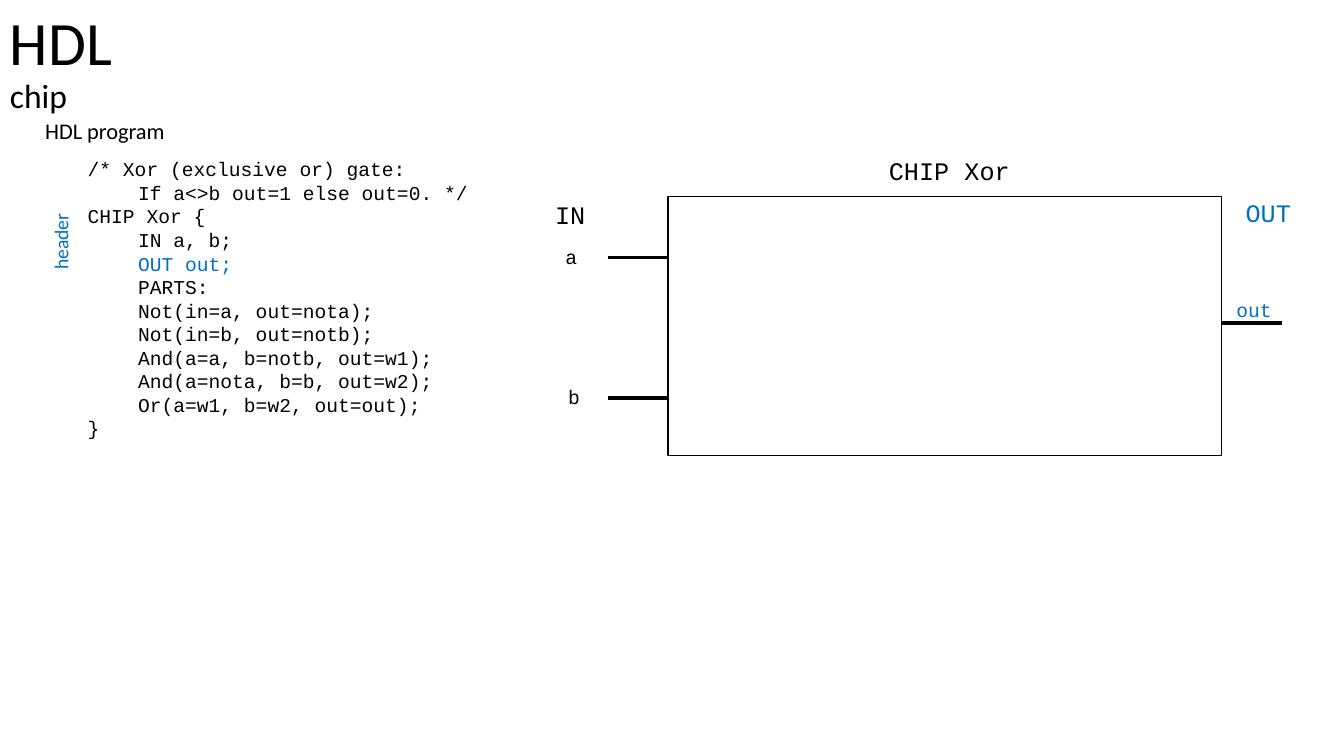
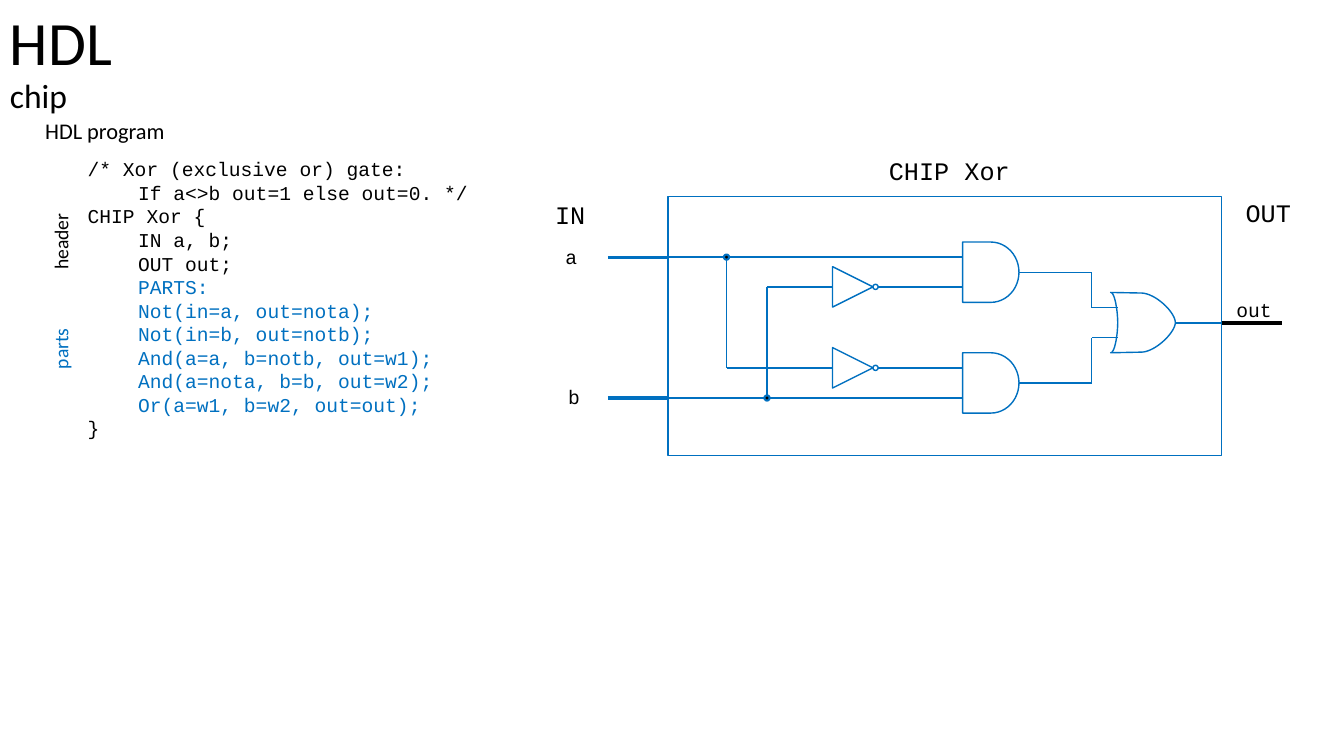
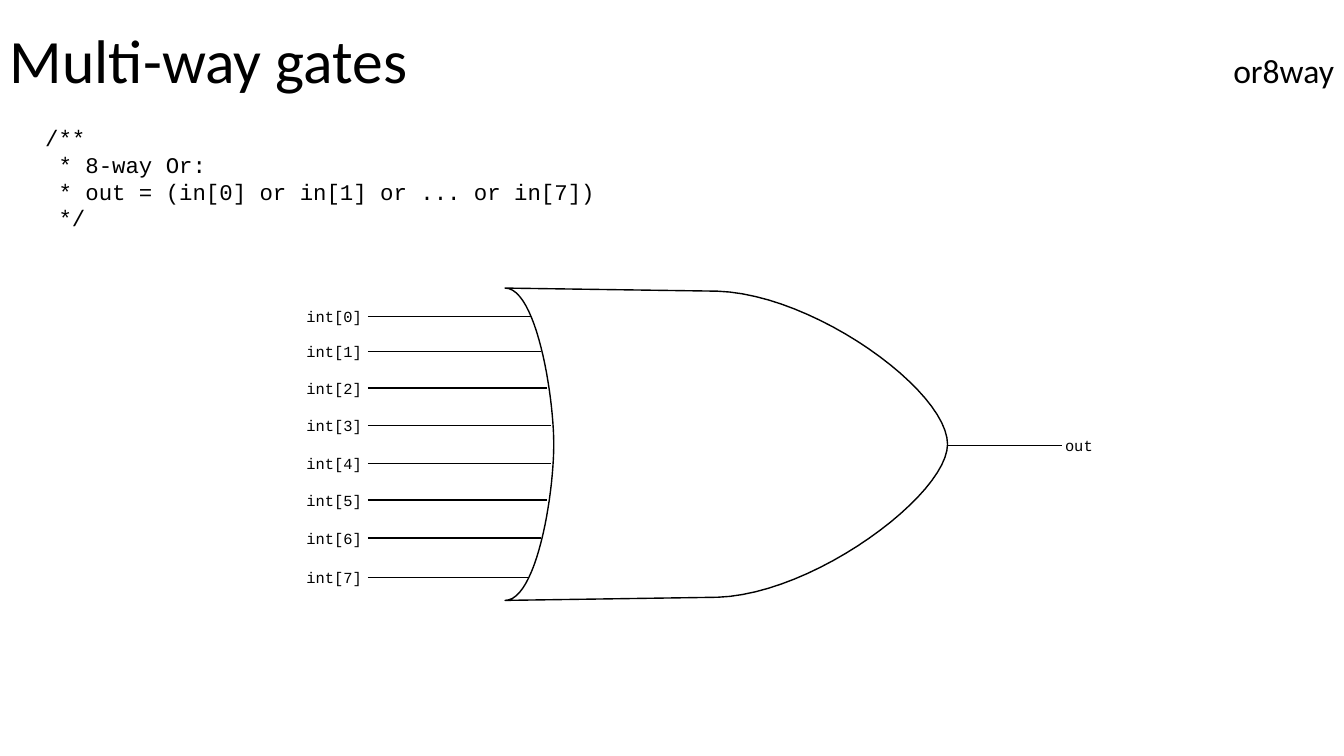
"""Build three slides on HDL chips and multi-way gates."""
import pptx
import pptx.dml.color
import pptx.enum.shapes
import pptx.enum.text
import pptx.oxml.ns
import pptx.util
from lxml import etree

Cm, Pt = pptx.util.Cm, pptx.util.Pt
SHAPE = pptx.enum.shapes.MSO_SHAPE
COLOURS = {"ink": "000000", "accent": "0070C0", "paper": "FFFFFF"}
SANS, MONO = "Calibri", "Courier New"

PROGRAM = [
    (0, "header", "/* Xor (exclusive or) gate:"),
    (1, "header", "If a<>b out=1 else out=0. */"),
    (0, "header", "CHIP Xor {"),
    (1, "header", "IN a, b;"),
    (1, "output", "OUT out;"),
    (1, "parts", "PARTS:"),
    (1, "parts", "Not(in=a, out=nota);"),
    (1, "parts", "Not(in=b, out=notb);"),
    (1, "parts", "And(a=a, b=notb, out=w1);"),
    (1, "parts", "And(a=nota, b=b, out=w2);"),
    (1, "parts", "Or(a=w1, b=w2, out=out);"),
    (0, "header", "}"),
]
CHIP_LABELS = [
    ("a", "input", 14, 6.05, 1.3, 14),
    ("b", "input", 14.07, 9.58, 1.22, 14),
    ("out", "output", 30.91, 7.39, 2.82, 14),
    ("CHIP Xor", "name", 22.15, 3.78, 3.96, 18),
    ("IN", "input", 13.74, 4.9, 1.5, 18),
    ("OUT", "output", 31.14, 4.85, 1.9, 18),
]
CHIP_LEFT, CHIP_TOP, CHIP_WIDTH, CHIP_HEIGHT = 16.84, 4.95, 13.95, 6.53
CHIP_RIGHT = CHIP_LEFT + CHIP_WIDTH
PIN = 1.52
A_Y, B_Y, OUT_Y = 6.48, 10.03, 8.14
A_TAP, B_TAP = 18.31, 19.33
NOT_LEFT, NOT_SIZE, BUBBLE = 20.98, 1.02, 0.13
NOT_YS = [7.23, 9.27]
AND_LEFT, AND_WIDTH, AND_HEIGHT = 24.26, 1.42, 1.52
AND_YS = [6.86, 9.65]
OR_INPUT_YS = [7.75, 8.51]
OR_LEFT, OR_TOP, OR_WIDTH, OR_HEIGHT = 27.99, 7.37, 1.63, 1.52
OR_BEND, OR_BACK = 27.51, 28.17

COMMENT = ["/**", " * 8-way Or:", " * out = (in[0] or in[1] or ... or in[7])", " */"]
INPUT_YS = [7.98, 8.86, 9.78, 10.72, 11.68, 12.6, 13.56, 14.55]
INPUT_ENDS = [13.39, 13.64, 13.79, 13.89, 13.89, 13.79, 13.64, 13.34]

OR_CURVES = [
    [(0.48, 0.01), (0.7, 0.02), (1, 0.33), (1, 0.5)],
    [(1, 0.5), (1, 0.66), (0.7, 0.98), (0.48, 0.99)],
    [(0, 1), (0.07, 1), (0.11, 0.67), (0.11, 0.5)],
    [(0.11, 0.5), (0.11, 0.34), (0.07, 0), (0, 0)],
]


def rgb(colour):
    return pptx.dml.color.RGBColor.from_string(COLOURS[colour])


def style(run, size, font, colour="ink"):
    run.font.size, run.font.name = Pt(size), font
    run.font.color.rgb = rgb(colour)


def add_text(slide, lines, box, size, font=MONO, colour="ink"):
    label = slide.shapes.add_textbox(*map(Cm, box))
    label.text_frame.word_wrap = True
    label.text_frame.text = "\n".join(lines)
    for paragraph in label.text_frame.paragraphs:
        for run in paragraph.runs:
            style(run, size, font, colour)
    return label


def add_title(slide, title, separator, topic):
    heading = add_text(slide, [title + separator], (0, -0.23, 33.87, 3.68), 44, SANS)
    heading.text_frame.vertical_anchor = pptx.enum.text.MSO_ANCHOR.MIDDLE
    paragraph = heading.text_frame.paragraphs[0]
    paragraph.line_spacing = 0.9
    subject = paragraph.add_run()
    subject.text = topic
    style(subject, 24, SANS)
    tabs = etree.SubElement(paragraph._p.get_or_add_pPr(), pptx.oxml.ns.qn("a:tabLst"))
    etree.SubElement(tabs, pptx.oxml.ns.qn("a:tab"), pos=str(Cm(33.58)), algn="r")


def add_wire(slide, x1, y1, x2, y2, colour="ink", width=1):
    wire = slide.shapes.add_connector(
        pptx.enum.shapes.MSO_CONNECTOR.STRAIGHT, Cm(x1), Cm(y1), Cm(x2), Cm(y2))
    wire.line.color.rgb, wire.line.width = rgb(colour), Pt(width)
    etree.SubElement(wire._element.spPr, pptx.oxml.ns.qn("a:effectLst"))


def outline(part, colour, fill=None, width=1):
    part.shadow.inherit = False
    part.line.color.rgb, part.line.width = rgb(colour), Pt(width)
    if fill:
        part.fill.solid()
        part.fill.fore_color.rgb = rgb(fill)
    else:
        part.fill.background()


def add_part(slide, kind, box, colour, fill=None, width=1):
    part = slide.shapes.add_shape(kind, *map(Cm, box))
    outline(part, colour, fill, width)
    return part


def bezier(points, steps=24):
    for step in range(steps + 1):
        t = step / steps
        weights = ((1 - t) ** 3, 3 * t * (1 - t) ** 2, 3 * t * t * (1 - t), t ** 3)
        yield tuple(sum(w * p[axis] for w, p in zip(weights, points)) for axis in (0, 1))


def add_or_gate(slide, left, top, width, height, colour):
    points = [(Cm(left + x * width), Cm(top + y * height))
              for curve in OR_CURVES for x, y in bezier(curve)]
    builder = slide.shapes.build_freeform(Cm(left), Cm(top), scale=1.0)
    builder.add_line_segments(points, close=True)
    outline(builder.convert_to_shape(), colour)


def add_side_label(slide, text, y, colour):
    label = add_text(slide, [text], (0.33, y, 2.41, 0.86), 14, SANS, colour)
    label.rotation = 270
    label.text_frame.paragraphs[0].alignment = pptx.enum.text.PP_ALIGN.CENTER


def add_circuit(slide, colour):
    not_right = NOT_LEFT + NOT_SIZE
    wires = [
        (CHIP_LEFT, A_Y, AND_LEFT, A_Y),
        (CHIP_LEFT, B_Y, AND_LEFT, B_Y),
        (A_TAP, A_Y, A_TAP, NOT_YS[1]),
        (B_TAP, NOT_YS[0], B_TAP, B_Y),
        (B_TAP, NOT_YS[0], NOT_LEFT, NOT_YS[0]),
        (A_TAP, NOT_YS[1], NOT_LEFT, NOT_YS[1]),
        (OR_LEFT + OR_WIDTH, OUT_Y, CHIP_RIGHT, OUT_Y),
    ]
    for not_y, and_y, or_y in zip(NOT_YS, AND_YS, OR_INPUT_YS):
        wires += [
            (not_right + BUBBLE, not_y, AND_LEFT, not_y),
            (AND_LEFT + AND_WIDTH, and_y, OR_BEND, and_y),
            (OR_BEND, and_y, OR_BEND, or_y),
            (OR_BEND, or_y, OR_BACK, or_y),
        ]
        inverter = (NOT_LEFT, not_y - NOT_SIZE / 2, NOT_SIZE, NOT_SIZE)
        add_part(slide, SHAPE.ISOSCELES_TRIANGLE, inverter, colour).rotation = 90
        add_part(slide, SHAPE.OVAL, (not_right, not_y - BUBBLE / 2, BUBBLE, BUBBLE), colour)
        add_part(slide, SHAPE.FLOWCHART_DELAY,
                 (AND_LEFT, and_y - AND_HEIGHT / 2, AND_WIDTH, AND_HEIGHT), colour)
    for wire in wires:
        add_wire(slide, *wire, colour)
    for x, y in [(A_TAP, A_Y), (B_TAP, B_Y)]:
        add_part(slide, SHAPE.OVAL, (x - BUBBLE / 2, y - BUBBLE / 2, BUBBLE, BUBBLE),
                 colour, "ink", 1.5)
    add_or_gate(slide, OR_LEFT, OR_TOP, OR_WIDTH, OR_HEIGHT, colour)


def add_chip_slide(slide, focus):
    def shade(section):
        return "accent" if section == focus else "ink"

    add_title(slide, "HDL", "\v", "chip")
    add_text(slide, ["HDL program"], (0.89, 2.82, 5.51, 9.14), 16, SANS)
    program = add_text(slide, [text for _, _, text in PROGRAM], (1.96, 3.84, 16.94, 7.44), 14)
    for paragraph, (level, section, _) in zip(program.text_frame.paragraphs, PROGRAM):
        paragraph._p.get_or_add_pPr().set("marL", str(Cm(1.27 * level)))
        paragraph.runs[0].font.color.rgb = rgb(shade(section))

    body = shade("parts")
    add_part(slide, SHAPE.RECTANGLE, (CHIP_LEFT, CHIP_TOP, CHIP_WIDTH, CHIP_HEIGHT),
             body, "paper")
    for y in (A_Y, B_Y):
        add_wire(slide, CHIP_LEFT - PIN, y, CHIP_LEFT, y, body, 2.25)
    if focus == "parts":
        add_circuit(slide, body)
        add_side_label(slide, "parts", 8.36, body)
    add_wire(slide, CHIP_RIGHT, OUT_Y, CHIP_RIGHT + PIN, OUT_Y, "ink", 2.25)
    add_side_label(slide, "header", 5.66, shade("output"))
    for text, section, x, y, width, size in CHIP_LABELS:
        add_text(slide, [text], (x, y, width, 0.86), size, MONO, shade(section))


def add_or8way_slide(slide):
    add_title(slide, "Multi-way gates", "\t", "or8way")
    add_text(slide, COMMENT, (0.89, 3, 15.06, 12.09), 16)
    add_or_gate(slide, 12.73, 7.26, 11.15, 7.87, "ink")
    for index, (y, end) in enumerate(zip(INPUT_YS, INPUT_ENDS)):
        add_wire(slide, 9.27, y, end, y)
        add_text(slide, [f"int[{index}]"], (7.47, y - 0.36, 2.11, 0.74), 11)
    add_wire(slide, 23.88, 11.23, 26.77, 11.23)
    add_text(slide, ["out"], (26.59, 10.87, 1.45, 0.74), 11)


def main():
    deck = pptx.Presentation()
    deck.slide_width, deck.slide_height = Cm(33.87), Cm(19.05)
    header, parts, or8way = [deck.slides.add_slide(deck.slide_layouts[6]) for _ in range(3)]
    add_chip_slide(header, "output")
    add_chip_slide(parts, "parts")
    add_or8way_slide(or8way)
    deck.save("out.pptx")


if __name__ == "__main__":
    main()
